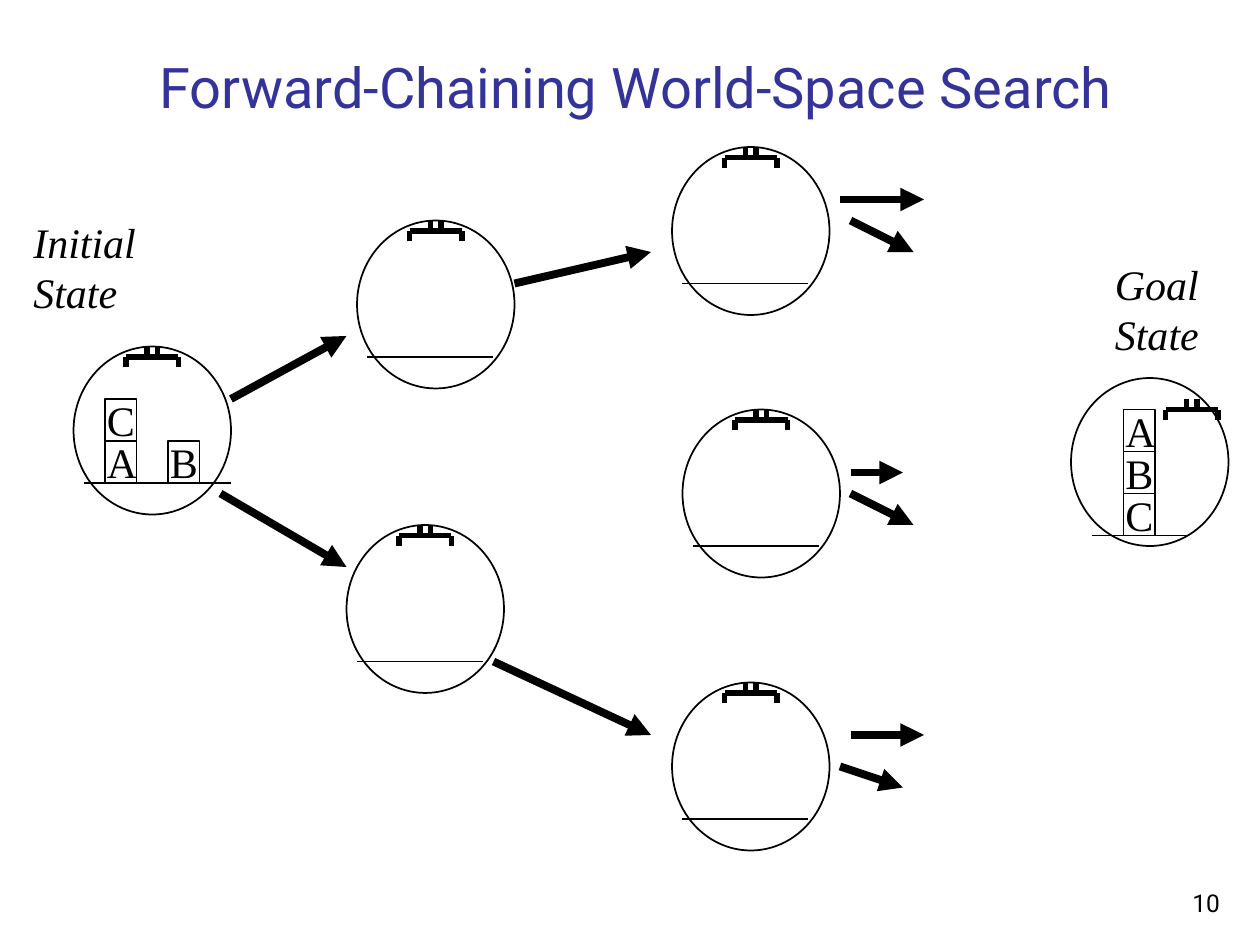
from dataclasses import dataclass

from lxml import etree
from pptx import Presentation, util as u
from pptx.dml.color import RGBColor
from pptx.enum import shapes, text
from pptx.oxml import ns


@dataclass(frozen=True)
class Theme:
    title_color: RGBColor = RGBColor(0x33, 0x33, 0x99)
    ink: RGBColor = RGBColor(0, 0, 0)
    sans: str = "Roboto"
    serif: str = "Times New Roman"
    title_size: int = 32
    label_size: int = 24
    number_size: int = 14
    thin: float = 1
    thick: float = 3
    arrow: float = 4.5


THEME = Theme()
CIRCLE = (120, 128)
BLOCK = (24, 32)
GRIPPER = (40, 0)
GROUND = (8, 104, 104)


def px(value):
    return u.Emu(value * 9525)


def add_text(container, box, content, *, size=THEME.label_size, font=THEME.serif,
             color=THEME.ink, italic=False, wrap=False,
             anchor=text.MSO_ANCHOR.TOP, align=text.PP_ALIGN.LEFT):
    shape = container.add_textbox(*map(px, box))
    frame = shape.text_frame
    frame.word_wrap = wrap
    frame.vertical_anchor = anchor
    frame.text = content
    for paragraph in frame.paragraphs:
        paragraph.alignment = align
        paragraph.font.size = u.Pt(size)
        paragraph.font.name = font
        paragraph.font.italic = italic
        paragraph.font.color.rgb = color


def add_outline(container, kind, box):
    shape = container.add_shape(kind, *map(px, box))
    shape.shadow.inherit = False
    shape.fill.background()
    shape.line.color.rgb = THEME.ink
    shape.line.width = u.Pt(THEME.thin)


def add_line(container, start, end, width=THEME.thin, arrow=False):
    line = container.add_connector(shapes.MSO_CONNECTOR.STRAIGHT, *map(px, start + end))
    line.line.color.rgb = THEME.ink
    line.line.width = u.Pt(width)
    if arrow:
        etree.SubElement(line.line._get_or_add_ln(), ns.qn("a:tailEnd"), type="triangle")
    etree.SubElement(line._element.spPr, ns.qn("a:effectLst"))


def add_block(container, x, y, letter):
    width, height = BLOCK
    add_outline(container, shapes.MSO_SHAPE.RECTANGLE, (x, y, width, height))
    add_text(container, (x - 8, y - 8, width + 18, height + 16), letter)


def add_gripper(container, x, y):
    """Draw a bar with two fingers below it and two arm lines above it."""
    bar_y, right = y + 8, x + 40
    for finger_x in (x, right):
        add_line(container, (finger_x, bar_y + 8), (finger_x, bar_y), THEME.thick)
    add_line(container, (x, bar_y), (right, bar_y), THEME.thick)
    for arm_x in (x + 16, x + 24):
        add_line(container, (arm_x, y), (arm_x, bar_y), THEME.thick)


def add_state(slide, x, y, ground=GROUND, gripper=GRIPPER, stacks=()):
    """Draw a world state; stacks maps block offsets to letters, bottom first."""
    group = slide.shapes.add_group_shape().shapes
    add_outline(group, shapes.MSO_SHAPE.OVAL, (x, y, *CIRCLE))
    left, right, level = ground
    add_line(group, (x + left, y + level), (x + right, y + level))
    for offset, letters in stacks:
        for row, letter in enumerate(letters, start=1):
            add_block(group, x + offset, y + level - row * BLOCK[1], letter)
    add_gripper(group, x + gripper[0], y + gripper[1])


def add_states(slide):
    add_state(slide, 56, 264, ground=(8, 120, 104), stacks=[(24, "AC"), (72, "B")])
    for x, y in [(264, 400), (272, 168), (512, 112), (520, 312), (512, 520)]:
        add_state(slide, x, y)
    add_state(slide, 816, 288, ground=(16, 88, 120), gripper=(72, 16), stacks=[(40, "CBA")])
    add_text(slide.shapes, (16, 160, 104, 86), "Initial\nState", italic=True, wrap=True)
    add_text(slide.shapes, (840, 192, 88, 86), "Goal\nState", italic=True, wrap=True)


def add_search_arrows(slide):
    arrows = [
        ((176, 304), (264, 256)), ((168, 376), (264, 432)),
        ((392, 216), (496, 192)), ((376, 504), (496, 560)),
        ((640, 152), (704, 152)), ((648, 168), (696, 192)),
        ((648, 360), (688, 360)), ((648, 376), (696, 400)),
        ((648, 560), (704, 560)), ((640, 584), (688, 600)),
    ]
    for start, end in arrows:
        add_line(slide.shapes, start, end, THEME.arrow, arrow=True)


def add_title_and_number(slide):
    add_text(slide.shapes, (112, 48, 818, 48), "Forward-Chaining World-Space Search",
             size=THEME.title_size, font=THEME.sans, color=THEME.title_color,
             wrap=True, anchor=text.MSO_ANCHOR.BOTTOM)
    add_text(slide.shapes, (739, 656, 200, 48), "10",
             size=THEME.number_size, font=THEME.sans, wrap=True,
             anchor=text.MSO_ANCHOR.BOTTOM, align=text.PP_ALIGN.RIGHT)


def main():
    presentation = Presentation()
    presentation.slide_width, presentation.slide_height = px(960), px(720)
    slide = presentation.slides.add_slide(presentation.slide_layouts[6])
    add_title_and_number(slide)
    add_states(slide)
    add_search_arrows(slide)
    presentation.save("out.pptx")


if __name__ == "__main__":
    main()
